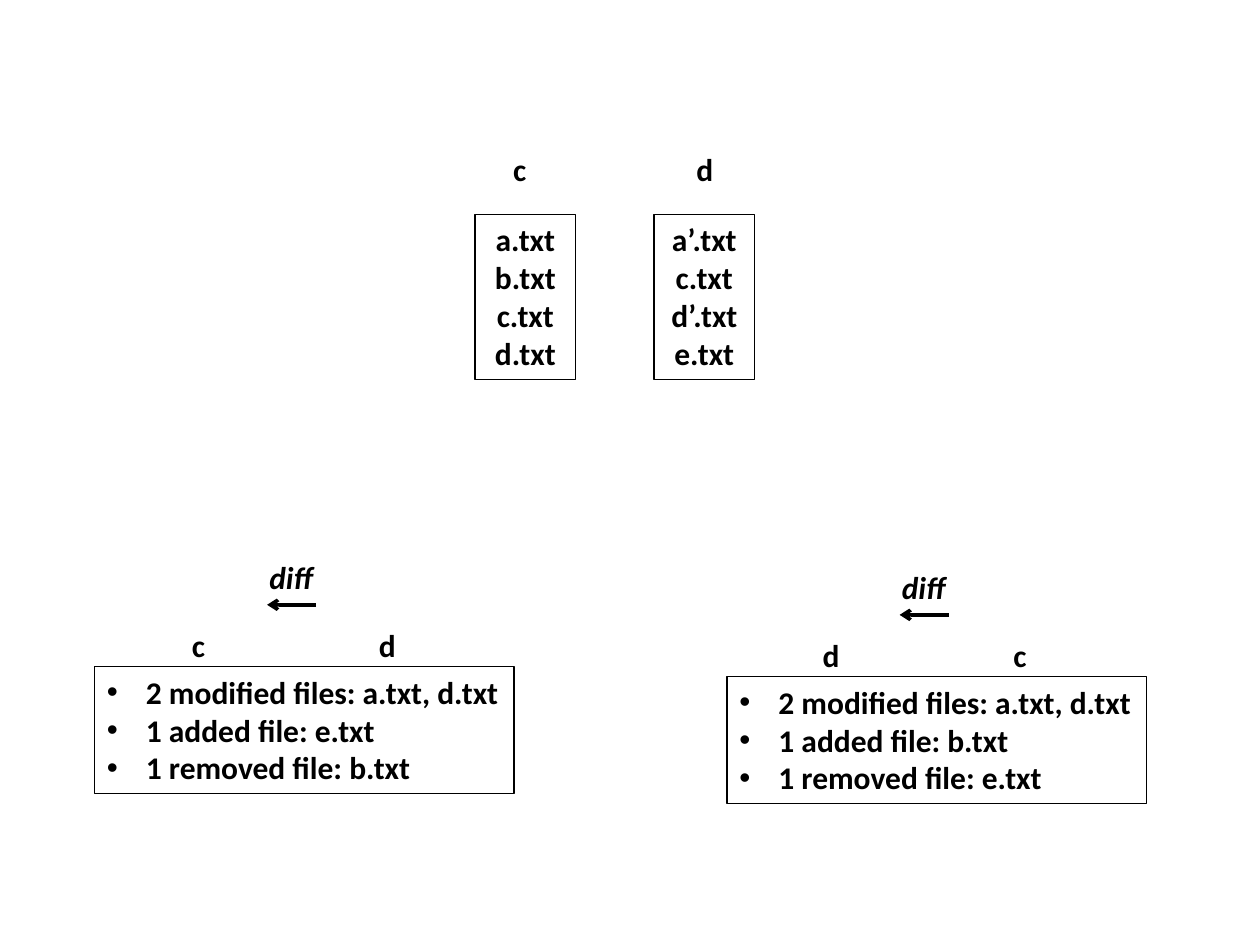
from dataclasses import dataclass

from lxml.etree import SubElement
from pptx import Presentation
from pptx.dml.color import RGBColor
from pptx.enum.shapes import MSO_CONNECTOR, MSO_SHAPE
from pptx.enum.text import MSO_ANCHOR, MSO_AUTO_SIZE, PP_ALIGN
from pptx.oxml.ns import qn
from pptx.util import Emu, Pt

SCALE = 9144


@dataclass(frozen=True)
class Theme:
    font: str = "Calibri"
    bullet_font: str = "Arial"
    ink: RGBColor = RGBColor(0, 0, 0)
    text_size: Pt = Pt(18)
    border: Pt = Pt(0.75)
    arrow: Pt = Pt(2)


THEME = Theme()


def px(value):
    return Emu(value * SCALE)


def apply_format(target, values):
    for name, value in values.items():
        setattr(target, name, value)


def add_bullet(paragraph):
    properties = paragraph._p.get_or_add_pPr()
    properties.set("marL", str(px(31)))
    properties.set("indent", str(px(-31)))
    SubElement(properties, qn("a:buFont"), typeface=THEME.bullet_font)
    SubElement(properties, qn("a:buChar"), char="•")


def write_lines(shape, lines, wrap=True, bullets=False, italic=False):
    frame = shape.text_frame
    apply_format(frame, {
        "word_wrap": wrap,
        "auto_size": MSO_AUTO_SIZE.SHAPE_TO_FIT_TEXT,
        "vertical_anchor": MSO_ANCHOR.TOP,
    })
    frame.text = "\n".join(lines)
    for paragraph in frame.paragraphs:
        paragraph.alignment = PP_ALIGN.LEFT if bullets else PP_ALIGN.CENTER
        if bullets:
            add_bullet(paragraph)
        for run in paragraph.runs:
            apply_format(run.font, {
                "name": THEME.font,
                "size": THEME.text_size,
                "bold": True,
                "italic": italic,
            })
            run.font.color.rgb = THEME.ink


def add_label(slide, left, top, width, text, italic=False):
    label = slide.shapes.add_textbox(px(left), px(top), px(width), px(40))
    write_lines(label, [text], italic=italic)


def add_frame(slide, left, top, width, height, lines, bullets=False):
    frame = slide.shapes.add_shape(
        MSO_SHAPE.RECTANGLE, px(left), px(top), px(width), px(height))
    frame.shadow.inherit = False
    frame.fill.background()
    frame.line.color.rgb = THEME.ink
    frame.line.width = THEME.border
    write_lines(frame, lines, bullets=bullets)


def add_arrow(slide, start, end, top):
    arrow = slide.shapes.add_connector(
        MSO_CONNECTOR.STRAIGHT, px(start), px(top), px(end), px(top))
    arrow.line.color.rgb = THEME.ink
    arrow.line.width = THEME.arrow
    SubElement(arrow.line._get_or_add_ln(), qn("a:tailEnd"), type="arrow")
    SubElement(arrow._element.spPr, qn("a:effectLst"))


def add_label_pair(slide, left, top, names, gap):
    first, second = names
    add_label(slide, left, top, 71, first)
    add_label(slide, left + gap, top, 133, second)


def add_snapshots(slide, left, top, snapshots):
    add_label_pair(slide, left, top, snapshots, 116)
    for index, files in enumerate(snapshots.values()):
        add_frame(slide, left + index * 142, top + 56, 80, 131, files)


def add_diff(slide, left, top, names, changes):
    add_label_pair(slide, left + 47, top + 54, names, 119)
    add_label(slide, left + 123, top, 66, "diff", italic=True)
    add_arrow(slide, left + 176, left + 137, top + 42)
    add_frame(slide, left, top + 91, 333, 101, changes, bullets=True)


def main():
    presentation = Presentation()
    presentation.slide_width = px(1000)
    presentation.slide_height = px(750)
    slide = presentation.slides.add_slide(presentation.slide_layouts[6])
    add_snapshots(slide, 377, 114, {
        "c": ["a.txt", "b.txt", "c.txt", "d.txt"],
        "d": ["a’.txt", "c.txt", "d’.txt", "e.txt"],
    })
    for left, top, names, added, removed in (
        (75, 438, "cd", "e.txt", "b.txt"),
        (577, 446, "dc", "b.txt", "e.txt"),
    ):
        add_diff(slide, left, top, names, [
            "2 modified files: a.txt, d.txt",
            f"1 added file: {added}",
            f"1 removed file: {removed}",
        ])
    presentation.save("out.pptx")


if __name__ == "__main__":
    main()
